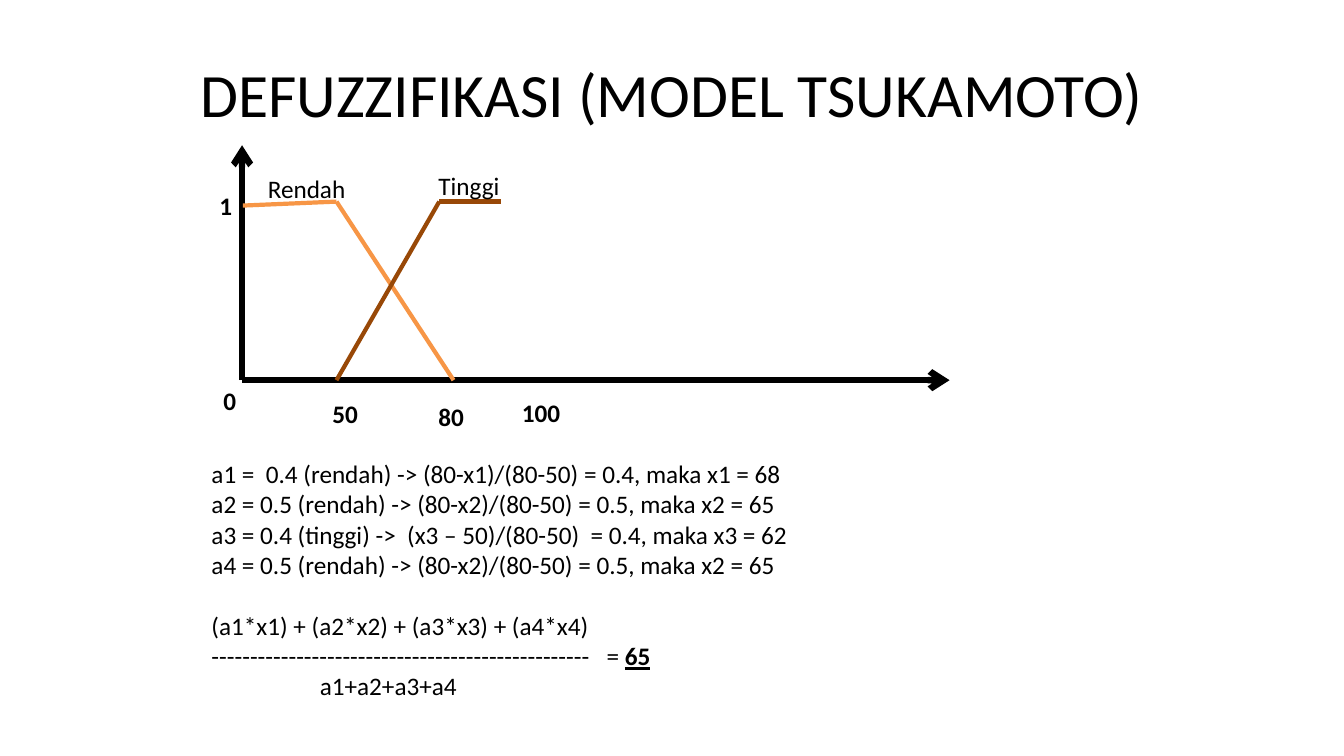
import pptx
import pptx.util
import pptx.dml.color
import pptx.enum.shapes
import pptx.enum.text
import pptx.oxml.ns
import lxml.etree

Cm = pptx.util.Cm
Pt = pptx.util.Pt
RGB = pptx.dml.color.RGBColor.from_string
align = pptx.enum.text.PP_ALIGN
anchor = pptx.enum.text.MSO_ANCHOR
auto = pptx.enum.text.MSO_AUTO_SIZE

theme = {
    "ink": "000000", "low": "F79646", "high": "984807",
    "font": "Calibri", "head": 44, "body": 18, "axis": 4.5, "curve": 3,
}

title = "DEFUZZIFIKASI (MODEL TSUKAMOTO)"
title_box = (1.7, 0.76, 30.48, 3.18)
body_box = (5.08, 11.43, 18.03, 6.4)
label_high = 1.02

root = (6.1, 9.58)
axes = [(root, (6.1, 3.66)), (root, (23.93, 9.58))]
curves = {
    "low": [(6.12, 5.18), (8.48, 5.08), (11.43, 9.58)],
    "high": [(8.48, 9.58), (11.07, 5.08), (12.62, 5.08)],
}
labels = [
    ("0", 5.38, 9.58, 0.84, True),
    ("1", 5.28, 4.67, 0.84, True),
    ("Rendah", 6.5, 4.24, 2.49, False),
    ("Tinggi", 10.8, 4.17, 2.06, False),
    ("50", 8.13, 9.91, 1.17, True),
    ("80", 10.8, 9.98, 1.17, True),
    ("100", 12.9, 9.88, 1.5, True),
]

answer = {"bold": True, "underline": True}
lines = [
    ([("a1 =  0.4 (rendah) -> (80-x1)/(80-50) = 0.4, maka x1 = 68", {})], {}),
    ([("a2 = 0.5 (rendah) -> (80-x2)/(80-50) = 0.5, maka x2 = 65", {})], {}),
    ([("a3 = 0.4 (tinggi) ->  (x3 – 50)/(80-50)  = 0.4, maka x3 = 62", {})], {}),
    ([("a4 = 0.5 (rendah) -> (80-x2)/(80-50) = 0.5, maka x2 = 65", {})], {}),
    ([("(a1*x1) + (a2*x2) + (a3*x3) + (a4*x4)", {})], {"gap": 22}),
    ([("-" * 49 + "\t= ", {}), ("65", answer)], {"tab": 9.96}),
    ([("a1+a2+a3+a4", {})], {"left": 2.73}),
]


def apply(item, form):
    for name, value in form.items():
        setattr(item, name, value)


def place(box):
    return [Cm(size) for size in box]


def write(para, text, size, **form):
    run = para.add_run()
    run.text = text
    apply(run.font, {"name": theme["font"], "size": Pt(size), **form})
    run.font.color.rgb = RGB(theme["ink"])


def add(node, tag, **attrs):
    return lxml.etree.SubElement(node, pptx.oxml.ns.qn(tag), attrs)


def draw(group, start, end, color, width, arrow=False):
    kind = pptx.enum.shapes.MSO_CONNECTOR.STRAIGHT
    link = group.shapes.add_connector(kind, *place(start + end))
    link.line.color.rgb = RGB(theme[color])
    link.line.width = Pt(theme[width])
    if arrow:
        add(link.line._ln, "a:tailEnd", type="arrow")
    add(link._element.spPr, "a:effectLst")


def label(group, text, left, top, wide, bold):
    box = group.shapes.add_textbox(*place((left, top, wide, label_high)))
    apply(box.text_frame, {"word_wrap": False, "auto_size": auto.SHAPE_TO_FIT_TEXT})
    write(box.text_frame.paragraphs[0], text, theme["body"], bold=bold)


def solve(slide):
    frame = slide.shapes.add_textbox(*place(body_box)).text_frame
    apply(frame, {"word_wrap": True, "auto_size": auto.SHAPE_TO_FIT_TEXT})
    for i, (runs, form) in enumerate(lines):
        para = frame.add_paragraph() if i else frame.paragraphs[0]
        props = para._p.get_or_add_pPr()
        if "gap" in form:
            para.space_before = Pt(form["gap"])
        if "left" in form:
            props.set("marL", str(Cm(form["left"])))
        if "tab" in form:
            tabs = add(props, "a:tabLst")
            add(tabs, "a:tab", pos=str(Cm(form["tab"])), algn="l")
        for text, style in runs:
            write(para, text, theme["body"], **style)


def main():
    deck = pptx.Presentation()
    apply(deck, {"slide_width": Cm(33.87), "slide_height": Cm(19.05)})
    slide = deck.slides.add_slide(deck.slide_layouts[5])

    head = slide.shapes.title
    apply(head, dict(zip(("left", "top", "width", "height"), place(title_box))))
    head.text_frame.vertical_anchor = anchor.MIDDLE
    para = head.text_frame.paragraphs[0]
    para.alignment = align.CENTER
    write(para, title, theme["head"])

    graph = slide.shapes.add_group_shape()
    for start, end in axes:
        draw(graph, start, end, "ink", "axis", arrow=True)
    for color, points in curves.items():
        for start, end in zip(points, points[1:]):
            draw(graph, start, end, color, "curve")
    for entry in labels:
        label(graph, *entry)

    solve(slide)
    deck.save("out.pptx")


if __name__ == "__main__":
    main()
